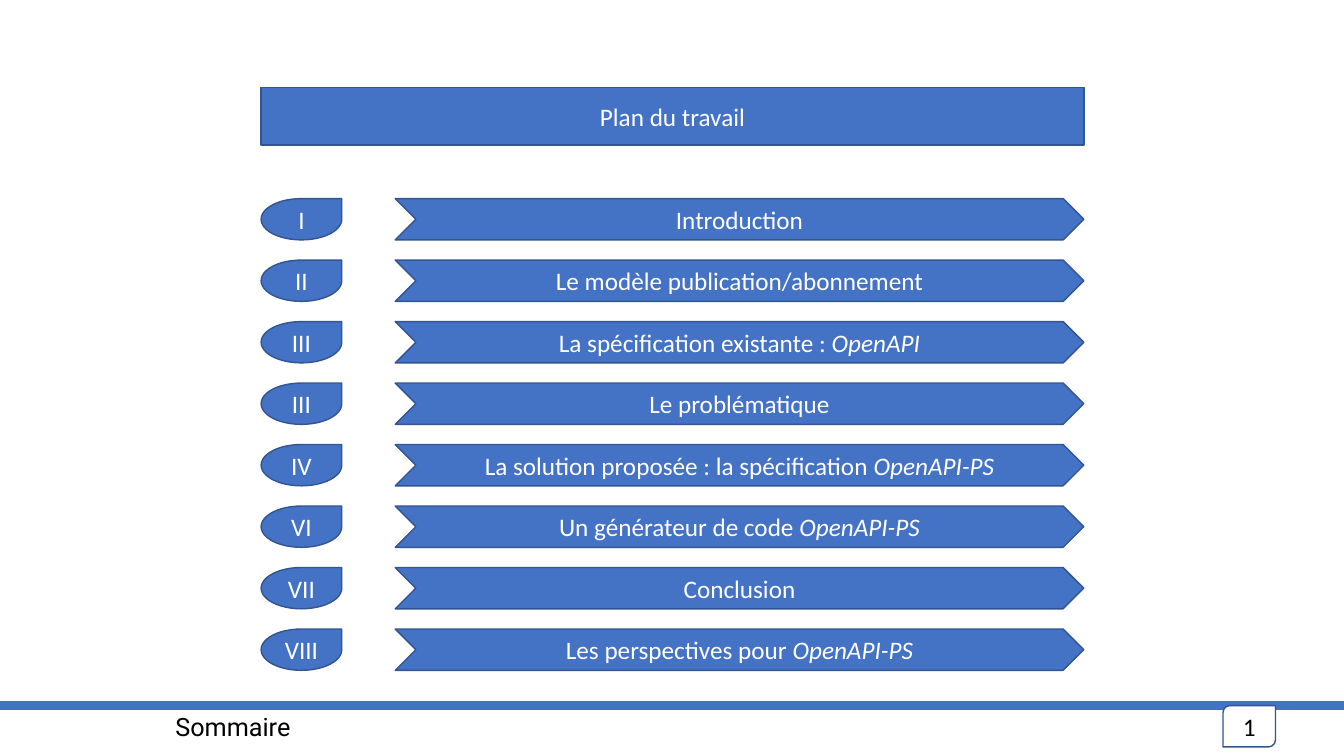
from pptx import Presentation
from pptx.dml.color import RGBColor
from pptx.enum.shapes import MSO_CONNECTOR, MSO_SHAPE as SHAPE
from pptx.enum.text import MSO_ANCHOR, PP_ALIGN
from pptx.oxml.ns import qn
from pptx.util import Inches, Pt
from lxml.etree import SubElement

COLORS = {"blue": "4472C4", "edge": "325491", "white": "FFFFFF", "black": "000000"}
FILLED = {"fill": "blue", "line": "edge", "color": "white", "name": "Calibri"}
PAGE = {**FILLED, "fill": "white", "color": "black"}
FOOTER = {**PAGE, "line": None, "name": "Roboto"}

SLIDE_W, SLIDE_H = 13.33, 7.5
LEFT, WIDTH = 2.59, 8.16
BADGE_W, ARROW_W = 0.8, 6.83
FIRST_TOP, PITCH, ROW_H = 1.97, 0.61, 0.41
FOOTER_TOP = 7

# numeral, plain text, italic text
SECTIONS = [
    ("I", "Introduction", ""),
    ("II", "Le modèle publication/abonnement", ""),
    ("III", "La spécification existante : ", "OpenAPI"),
    ("III", "Le problématique", ""),
    ("IV", "La solution proposée : la spécification ", "OpenAPI-PS"),
    ("VI", "Un générateur de code ", "OpenAPI-PS"),
    ("VII", "Conclusion", ""),
    ("VIII", "Les perspectives pour ", "OpenAPI-PS"),
]


def rgb(key):
    """Return the palette colour called key."""
    return RGBColor.from_string(COLORS[key])


def format_box(sp, look, text, italic=""):
    """Apply a look to a shape or placeholder and write its centred text."""
    sp.fill.solid()
    sp.fill.fore_color.rgb = rgb(look["fill"])
    if look["line"]:
        sp.line.color.rgb = rgb(look["line"])
        sp.line.width = Pt(1)
    else:
        sp.line.fill.background()
    tf = sp.text_frame
    tf.word_wrap = True
    tf.vertical_anchor = MSO_ANCHOR.MIDDLE
    p = tf.paragraphs[0]
    p.alignment = PP_ALIGN.CENTER
    for words, slanted in ((text, None), (italic, True)):
        if words:
            r = p.add_run()
            r.text = words
            values = {"name": look["name"], "size": Pt(18), "italic": slanted}
            for key, value in values.items():
                setattr(r.font, key, value)
            r.font.color.rgb = rgb(look["color"])


def add_box(slide, kind, box, look, text, italic=""):
    """Add a preset shape with text; box is left, top, width, height."""
    sp = slide.shapes.add_shape(kind, *map(Inches, box))
    sp.shadow.inherit = False
    format_box(sp, look, text, italic)


def add_title(slide, text):
    """Turn the title placeholder into the banner."""
    title = slide.shapes.title
    place = {"left": LEFT, "top": 0.87, "width": WIDTH, "height": 0.57}
    for key, value in place.items():
        setattr(title, key, Inches(value))
    format_box(title, FILLED, text)


def add_section(slide, row, numeral, text, italic):
    """Add one row of the plan: numeral badge and chevron."""
    top = FIRST_TOP + row * PITCH
    add_box(slide, SHAPE.TEAR, (LEFT, top, BADGE_W, ROW_H), FILLED, numeral)
    arrow = (LEFT + WIDTH - ARROW_W, top, ARROW_W, ROW_H)
    add_box(slide, SHAPE.CHEVRON, arrow, FILLED, text, italic)


def add_rule(slide):
    """Add the thick footer line across the slide."""
    y = Inches(FOOTER_TOP)
    rule = slide.shapes.add_connector(
        MSO_CONNECTOR.STRAIGHT, 0, y, Inches(SLIDE_W), y)
    rule.line.color.rgb = rgb("blue")
    rule.line.width = Pt(6)
    SubElement(rule._element.spPr, qn("a:effectLst"))


def main():
    """Build the plan slide and save it."""
    prs = Presentation()
    prs.slide_width, prs.slide_height = Inches(SLIDE_W), Inches(SLIDE_H)
    slide = prs.slides.add_slide(prs.slide_layouts.get_by_name("Title Only"))
    add_title(slide, "Plan du travail")
    for row, section in enumerate(SECTIONS):
        add_section(slide, row, *section)
    add_box(slide, SHAPE.RECTANGLE, (0.12, FOOTER_TOP, 4.38, ROW_H),
            FOOTER, "Sommaire")
    add_rule(slide)
    add_box(slide, SHAPE.ROUND_2_DIAG_RECTANGLE,
            (12.13, FOOTER_TOP, 0.52, ROW_H), PAGE, "1")
    prs.save("out.pptx")


main()
